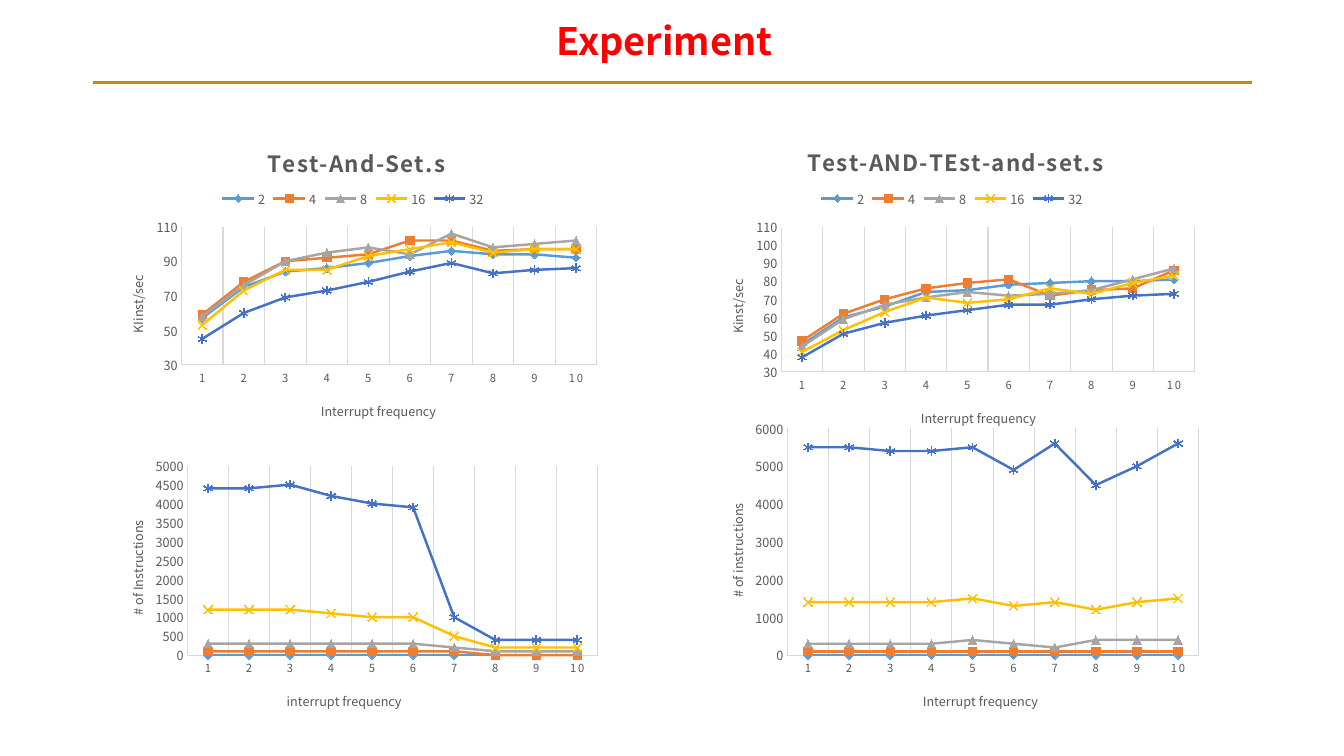
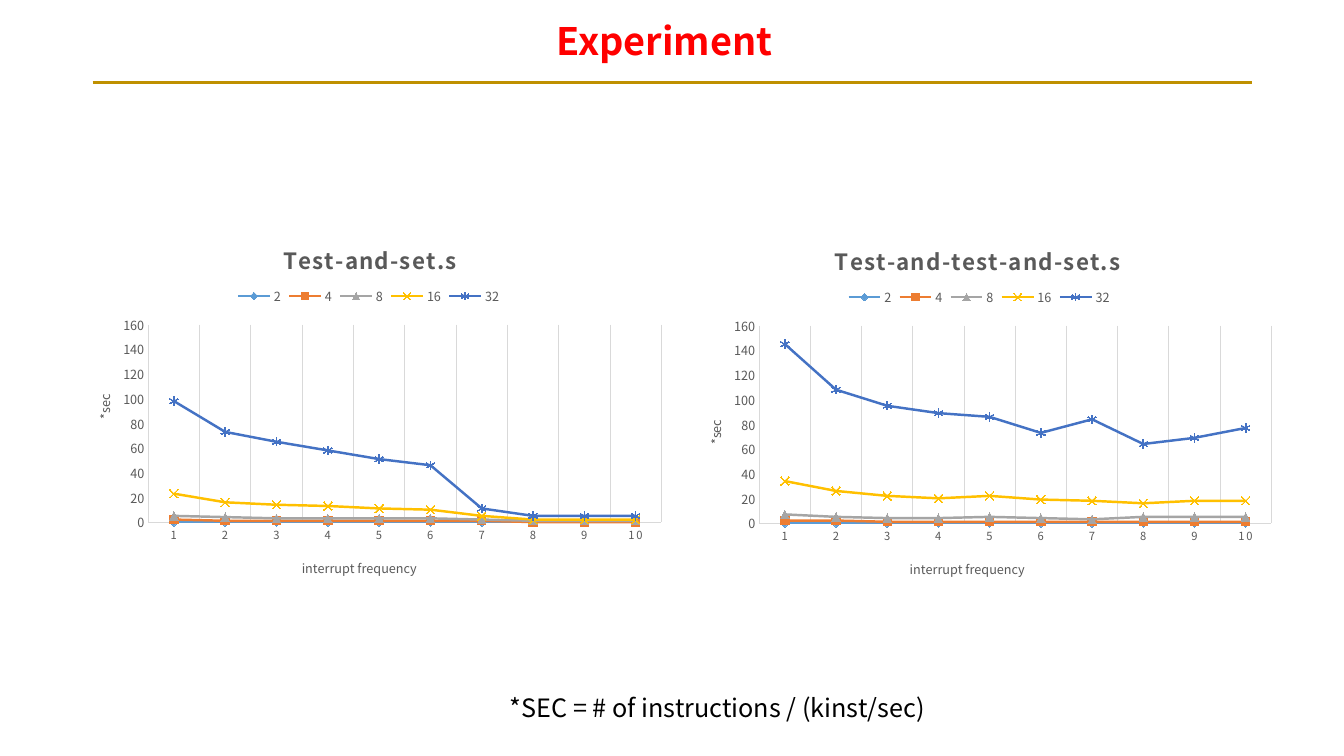
import dataclasses

import pptx
import pptx.chart.data
import pptx.dml.color
import pptx.enum.chart
import pptx.enum.shapes
import pptx.enum.text
import pptx.oxml
import pptx.oxml.ns
import pptx.util
from pptx.util import Inches

MARKERS = pptx.enum.chart.XL_MARKER_STYLE
TITLE = "Experiment"
FOOTNOTE = "*SEC = # of instructions / (kinst/sec)"
CATEGORIES = [str(number) for number in range(1, 11)]
SERIES_NAMES = ("2", "4", "8", "16", "32")
POINTS = len(CATEGORIES)

# Thousands of instructions per second, one row per series.
TEST_AND_SET_SPEED = [
    (57, 75, 84, 86, 89, 93, 96, 94, 94, 92),
    (59, 78, 90, 92, 94, 102, 102, 96, 97, 97),
    (58, 76, 90, 95, 98, 94, 106, 98, 100, 102),
    (53, 73, 85, 85, 93, 97, 101, 95, 97, 97),
    (45, 60, 69, 73, 78, 84, 89, 83, 85, 86),
]
DOUBLE_TEST_SPEED = [
    (45, 60, 66, 74, 75, 78, 79, 80, 80, 81),
    (47, 62, 70, 76, 79, 81, 72, 75, 76, 86),
    (44, 59, 67, 71, 74, 72, 73, 75, 81, 87),
    (41, 53, 63, 71, 68, 70, 76, 73, 79, 83),
    (38, 51, 57, 61, 64, 67, 67, 70, 72, 73),
]
# Instruction counts, one row per series.
TEST_AND_SET_COUNT = [
    [0] * POINTS,
    [100] * 7 + [0] * 3,
    [300] * 6 + [200] + [100] * 3,
    [1200] * 3 + [1100, 1000, 1000, 500] + [200] * 3,
    [4400, 4400, 4500, 4200, 4000, 3900, 1000] + [400] * 3,
]
DOUBLE_TEST_COUNT = [
    [0] * POINTS,
    [100] * POINTS,
    [300] * 4 + [400, 300, 200] + [400] * 3,
    [1400] * 4 + [1500, 1300, 1400, 1200, 1400, 1500],
    [5500, 5500, 5400, 5400, 5500, 4900, 5600, 4500, 5000, 5600],
]


def seconds(counts, speeds):
    """Divide instruction counts by speeds, as the footnote defines."""
    return [[round(count / speed) for count, speed in zip(*rows)]
            for rows in zip(counts, speeds)]


@dataclasses.dataclass(frozen=True)
class ChartContent:
    """Frame in inches, value scale, labels with their free offset, and values."""
    frame: tuple
    scale: tuple  # minimum, maximum, step
    category_title: str
    category_left: float
    value_title: str
    value_top: float
    values: list
    title: str = ""


THROUGHPUT_CHARTS = [
    ChartContent((1.02, 1.2, 5.01, 3.11), (30, 110, 20), "Interrupt frequency", 3.16,
                 "KIinst/sec", 2.71, TEST_AND_SET_SPEED, "Test-And-Set.s"),
    ChartContent((6.97, 1.2, 4.99, 3.18), (30, 110, 10), "Interrupt frequency", 9.11,
                 "Kinst/sec", 2.75, DOUBLE_TEST_SPEED, "Test-AND-TEst-and-set.s"),
    ChartContent((1.02, 4.48, 5.02, 2.71), (0, 5000, 500), "interrupt frequency", 2.82,
                 "# of Instructions", 5.14, TEST_AND_SET_COUNT),
    ChartContent((6.97, 4.11, 5.03, 3.08), (0, 6000, 1000), "Interrupt frequency", 9.13,
                 "# of instructions", 4.97, DOUBLE_TEST_COUNT),
]
SECONDS_CHARTS = [
    ChartContent((0.69, 2.17, 5.98, 3.7), (0, 160, 20), "interrupt frequency", 2.97,
                 "*sec", 3.89, seconds(TEST_AND_SET_COUNT, TEST_AND_SET_SPEED),
                 "Test-and-set.s"),
    ChartContent((6.75, 2.18, 5.97, 3.7), (0, 160, 20), "interrupt frequency", 9,
                 "*sec", 4.14, seconds(DOUBLE_TEST_COUNT, DOUBLE_TEST_SPEED),
                 "Test-and-test-and-set.s"),
]


@dataclasses.dataclass(frozen=True)
class Theme:
    """Colours, font and type sizes (points) of the presentation."""
    font: str = "Noto Sans CJK KR"
    title: str = "FF0000"
    rule: str = "BF9000"
    text: str = "000000"
    label: str = "595959"
    grid: str = "D9D9D9"
    title_size: int = 27
    note_size: int = 18
    chart_title_size: int = 16
    chart_size: int = 10
    label_size: int = 9
    category_size: int = 8
    marker_size: int = 6
    series: tuple = (
        ("5B9BD5", MARKERS.DIAMOND, True),
        ("ED7D31", MARKERS.SQUARE, True),
        ("A5A5A5", MARKERS.TRIANGLE, True),
        ("FFC000", MARKERS.X, False),
        ("4472C4", MARKERS.STAR, False),
    )


THEME = Theme()


def style_font(font, size, color, bold=False, spacing=None):
    """Set typeface, size, colour, weight and letter spacing (1/100 pt)."""
    font.name, font.size, font.bold = THEME.font, pptx.util.Pt(size), bold
    font.color.rgb = pptx.dml.color.RGBColor.from_string(color)
    if spacing:
        font._element.set("spc", str(spacing))


def style_line(line, color, width):
    """Give a line its colour and its width in points."""
    line.color.rgb = pptx.dml.color.RGBColor.from_string(color)
    line.width = pptx.util.Pt(width)


def add_run(paragraph, text, *style, **options):
    """Append one styled run."""
    run = paragraph.add_run()
    run.text = text
    style_font(run.font, *style, **options)


def place(element, frame, box):
    """Fix a chart part at an offset in its frame, written as fractions."""
    sizes = frame[2:] * 2
    target = '<c:layoutTarget val="inner"/>' if len(box) == len(sizes) else ""
    values = "".join(f'<c:{name} val="{length / whole:.4f}"/>'
                     for name, length, whole in zip("xywh", box, sizes))
    layout = pptx.oxml.parse_xml(
        f'<c:layout {pptx.oxml.ns.nsdecls("c")}><c:manualLayout>{target}'
        f'<c:xMode val="edge"/><c:yMode val="edge"/>{values}</c:manualLayout></c:layout>')
    qn = pptx.oxml.ns.qn
    previous = element.find(qn("c:layout"))
    if previous is not None:
        element.remove(previous)
    leading = sum(child.tag in (qn("c:tx"), qn("c:legendPos")) for child in element)
    element.insert(leading, layout)


def write_chart_label(label, text, frame, position, size, **options):
    """Write and place a chart or axis title."""
    add_run(label.text_frame.paragraphs[0], text, size, THEME.label, **options)
    place(label._element, frame, position)


def style_axis(axis, text, frame, position, size, spacing=None):
    """Style an axis and add its title."""
    axis.major_tick_mark = axis.minor_tick_mark = pptx.enum.chart.XL_TICK_MARK.NONE
    style_line(axis.format.line, THEME.grid, 0.75)
    style_font(axis.tick_labels.font, size, THEME.label, spacing=spacing)
    write_chart_label(axis.axis_title, text, frame, position, THEME.label_size)


def add_heading(chart, content):
    """Centre the chart title and the legend above the plot."""
    center = content.frame[2] / 2
    title_left = center - 0.13 * len(content.title) / 2
    write_chart_label(chart.chart_title, content.title, content.frame, (title_left, 0.19),
                      THEME.chart_title_size, bold=True, spacing=100)
    legend = chart.legend
    legend.position = pptx.enum.chart.XL_LEGEND_POSITION.TOP
    legend.include_in_layout = False
    style_font(legend.font, THEME.label_size, THEME.label)
    place(legend._element, content.frame, (center - 1.36, 0.64))


def style_series(plot):
    """Give every series its colour and marker."""
    plot.vary_by_categories = False
    for series, (color, marker, filled) in zip(plot.series, THEME.series):
        series.smooth = False
        style_line(series.format.line, color, 1.75)
        series.marker.style, series.marker.size = marker, THEME.marker_size
        style_line(series.marker.format.line, color, 0.75)
        fill = series.marker.format.fill
        if filled:
            fill.solid()
            fill.fore_color.rgb = pptx.dml.color.RGBColor.from_string(color)
        else:
            fill.background()


def add_line_chart(slide, content):
    """Add a marked line chart from one content entry."""
    data = pptx.chart.data.CategoryChartData(number_format="General")
    data.categories = CATEGORIES
    for name, values in zip(SERIES_NAMES, content.values):
        data.add_series(name, values)
    frame = content.frame
    left, top, width, height = frame
    chart = slide.shapes.add_chart(
        pptx.enum.chart.XL_CHART_TYPE.LINE_MARKERS, *map(Inches, frame), data).chart
    style_font(chart.font, THEME.chart_size, THEME.text)
    chart_space = chart._chartSpace
    chart_space.chart.addnext(pptx.oxml.parse_xml(
        f'<c:spPr {pptx.oxml.ns.nsdecls("c", "a")}><a:noFill/><a:ln><a:noFill/></a:ln></c:spPr>'))

    chart.has_title = chart.has_legend = bool(content.title)
    plot_left, plot_top = (0.78, 1.05) if content.title else (0.84, 0.14)
    place(chart_space.chart.plotArea, frame,
          (plot_left, plot_top, width - plot_left - 0.11, height - plot_top - 0.69))
    if content.title:
        add_heading(chart, content)

    category_axis, value_axis = chart.category_axis, chart.value_axis
    style_axis(category_axis, content.category_title, frame,
               (content.category_left - left, height - 0.36), THEME.category_size, spacing=120)
    category_axis.has_major_gridlines = True
    style_line(category_axis.major_gridlines.format.line, THEME.grid, 0.75)
    style_axis(value_axis, content.value_title, frame,
               (0.22, content.value_top - top), THEME.label_size)
    value_axis.has_major_gridlines = False
    value_axis.minimum_scale, value_axis.maximum_scale, value_axis.major_unit = content.scale
    body = value_axis.axis_title._element.find(".//" + pptx.oxml.ns.qn("a:bodyPr"))
    body.set("rot", "-5400000")
    body.set("vert", "horz")
    style_series(chart.plots[0])


def add_experiment_slide(presentation, charts):
    """Add a slide with the shared title, rule and the given charts."""
    slide = presentation.slides.add_slide(presentation.slide_layouts[5])
    rule = slide.shapes.add_connector(
        pptx.enum.shapes.MSO_CONNECTOR.STRAIGHT, *map(Inches, (0.92, 0.82, 12.42, 0.82)))
    style_line(rule.line, THEME.rule, 2)
    rule._element.spPr.append(pptx.oxml.parse_xml(
        f'<a:effectLst {pptx.oxml.ns.nsdecls("a")}/>'))
    title = slide.shapes.title
    title.left, title.top, title.width, title.height = map(Inches, (5.42, 0.21, 2.49, 0.47))
    title.text_frame.vertical_anchor = pptx.enum.text.MSO_ANCHOR.MIDDLE
    paragraph = title.text_frame.paragraphs[0]
    paragraph.alignment = pptx.enum.text.PP_ALIGN.LEFT
    paragraph.line_spacing = 0.8
    add_run(paragraph, TITLE, THEME.title_size, THEME.title, bold=True)
    for content in charts:
        add_line_chart(slide, content)
    return slide


def add_footnote(slide):
    """Explain the starred unit below the charts."""
    note = slide.shapes.add_textbox(*map(Inches, (4.96, 6.82, 4.57, 0.4)))
    note.text_frame.word_wrap = True
    add_run(note.text_frame.paragraphs[0], FOOTNOTE, THEME.note_size, THEME.text)


def main():
    """Build and save the presentation."""
    presentation = pptx.Presentation()
    presentation.slide_width, presentation.slide_height = Inches(13.33), Inches(7.5)
    add_experiment_slide(presentation, THROUGHPUT_CHARTS)
    add_footnote(add_experiment_slide(presentation, SECONDS_CHARTS))
    presentation.save("out.pptx")


main()
